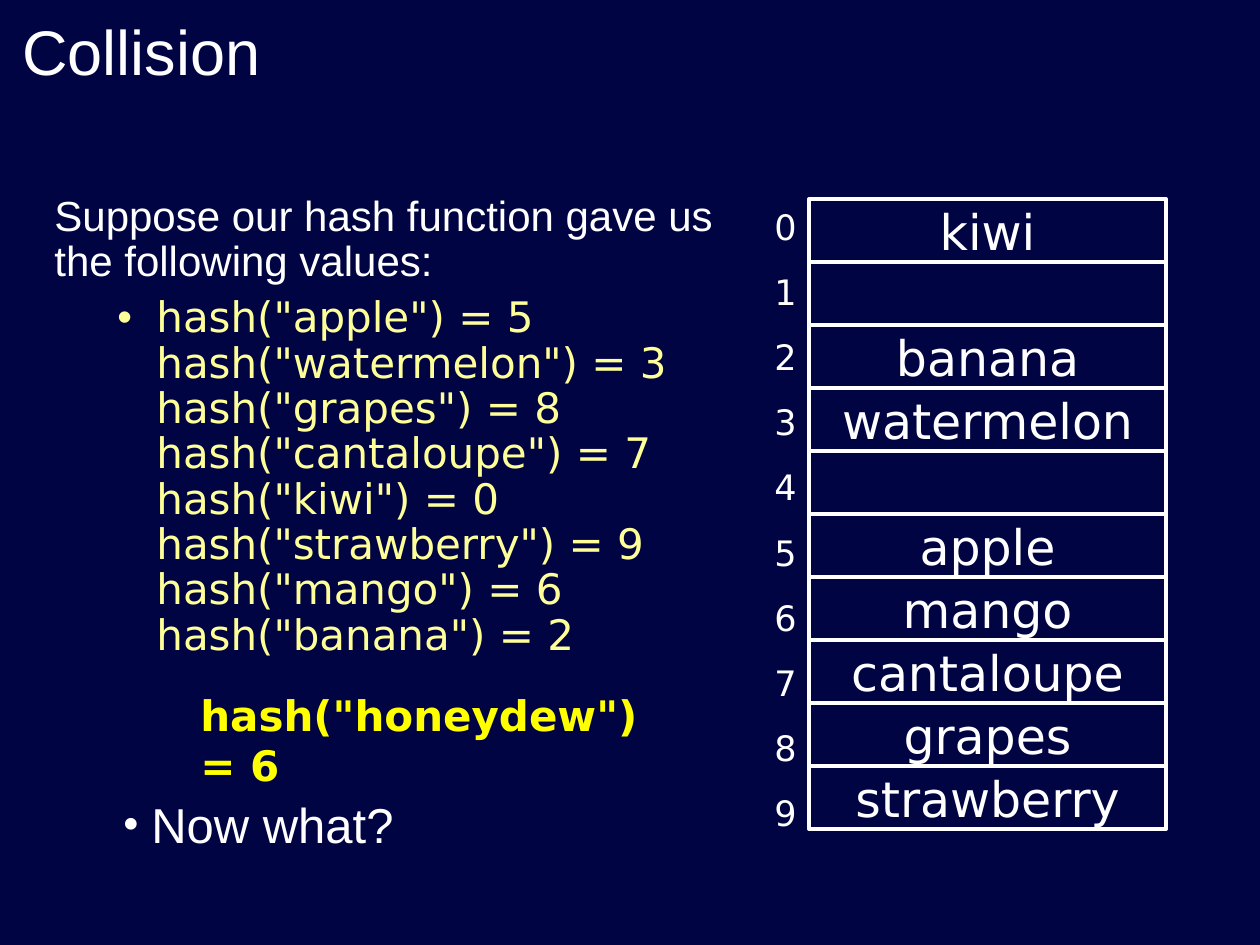
from dataclasses import dataclass

from lxml.etree import SubElement
from pptx import Presentation
from pptx.dml.color import RGBColor
from pptx.enum.shapes import MSO_SHAPE
from pptx.enum.text import MSO_ANCHOR, PP_ALIGN
from pptx.oxml.ns import qn
from pptx.util import Emu, Pt

EMU_PER_PX = 9144000 / 1260
COLORS = {
    "background": "010442",
    "white": "FFFFFF",
    "pale_yellow": "FFFF99",
    "yellow": "FFFF00",
}
CODE_FONT = "DejaVu Sans"

BUCKETS = ["kiwi", "", "banana", "watermelon", "", "apple", "mango",
           "cantaloupe", "grapes", "strawberry"]
HASH_VALUES = {"apple": 5, "watermelon": 3, "grapes": 8, "cantaloupe": 7,
               "kiwi": 0, "strawberry": 9, "mango": 6, "banana": 2}
BUCKET_LEFT, BUCKET_TOP, BUCKET_WIDTH, BUCKET_HEIGHT = 809, 199, 357, 63


@dataclass
class Box:
    left: int
    top: int
    width: int
    height: int

    def emu(self) -> list[Emu]:
        return [px(n) for n in (self.left, self.top, self.width, self.height)]


def px(length: int) -> Emu:
    return Emu(round(length * EMU_PER_PX))


def rgb(name: str) -> RGBColor:
    return RGBColor.from_string(COLORS[name])


def add_text(frame, text: str, *, size: float, font: str = "Arial",
             color: str = "white", bold: bool = False,
             align: PP_ALIGN = PP_ALIGN.LEFT, before: float = 0,
             line_spacing: float = 1.0):
    """Fill the empty first paragraph, or append one; \\v is a line break."""
    first = frame.paragraphs[0]
    paragraph = frame.add_paragraph() if first.runs else first
    paragraph.text = text
    paragraph.alignment = align
    paragraph.space_before = Pt(before)
    paragraph.line_spacing = line_spacing
    for run in paragraph.runs:
        run.font.size = Pt(size)
        run.font.name = font
        run.font.bold = bold
        run.font.color.rgb = rgb(color)
    return paragraph


def add_bullet(paragraph, *, margin: int, hanging: int, color: str, font: str) -> None:
    properties = paragraph._p.get_or_add_pPr()
    properties.set("marL", str(px(margin)))
    properties.set("indent", str(-px(hanging)))
    bullet_color = SubElement(properties, qn("a:buClr"))
    SubElement(bullet_color, qn("a:srgbClr"), val=COLORS[color])
    SubElement(properties, qn("a:buFont"), typeface=font)
    SubElement(properties, qn("a:buChar"), char="•")


def add_text_frame(slide, box: Box, *, wrap: bool = True,
                   anchor: MSO_ANCHOR = MSO_ANCHOR.TOP):
    frame = slide.shapes.add_textbox(*box.emu()).text_frame
    frame.word_wrap = wrap
    frame.vertical_anchor = anchor
    return frame


def add_bucket(slide, box: Box, label: str) -> None:
    shape = slide.shapes.add_shape(MSO_SHAPE.FLOWCHART_PROCESS, *box.emu())
    shape.shadow.inherit = False
    shape.fill.background()
    shape.line.color.rgb = rgb("white")
    shape.line.width = Pt(2.25)
    if label:
        frame = shape.text_frame
        frame.word_wrap = False
        frame.vertical_anchor = MSO_ANCHOR.MIDDLE
        add_text(frame, label, size=28, font=CODE_FONT, align=PP_ALIGN.CENTER)


def add_hash_table(slide) -> None:
    indices = add_text_frame(
        slide, Box(762, BUCKET_TOP, 46, BUCKET_HEIGHT * len(BUCKETS)), wrap=False)
    for index, label in enumerate(BUCKETS):
        top = BUCKET_TOP + index * BUCKET_HEIGHT
        add_bucket(slide, Box(BUCKET_LEFT, top, BUCKET_WIDTH, BUCKET_HEIGHT), label)
        add_text(indices, str(index), size=20, font=CODE_FONT, before=13.25)


def add_explanation(slide) -> None:
    body = add_text_frame(slide, Box(42, 189, 697, 536))
    add_text(body, "Suppose our hash function gave us the following values:",
             size=24, before=6, line_spacing=0.9)
    calls = "\v".join(f'hash("{key}") = {value}' for key, value in HASH_VALUES.items())
    paragraph = add_text(body, calls, size=24, font=CODE_FONT, color="pale_yellow",
                         before=6, line_spacing=0.9)
    add_bullet(paragraph, margin=102, hanging=39, color="pale_yellow", font="Arial")

    question = add_text_frame(slide, Box(110, 788, 296, 72), wrap=False)
    paragraph = add_text(question, "Now what?", size=28, before=17.5)
    add_bullet(paragraph, margin=29, hanging=29, color="white", font="Times New Roman")

    collision = add_text_frame(slide, Box(188, 683, 481, 63))
    add_text(collision, 'hash("honeydew") = 6', size=24, font=CODE_FONT,
             color="yellow", bold=True, before=15)


def main() -> None:
    presentation = Presentation()
    presentation.slide_width, presentation.slide_height = px(1260), px(945)
    slide = presentation.slides.add_slide(presentation.slide_layouts[6])
    slide.background.fill.solid()
    slide.background.fill.fore_color.rgb = rgb("background")

    title = add_text_frame(slide, Box(10, 10, 1142, 84), anchor=MSO_ANCHOR.BOTTOM)
    add_text(title, "Collision", size=36)
    add_explanation(slide)
    add_hash_table(slide)
    presentation.save("out.pptx")


if __name__ == "__main__":
    main()
